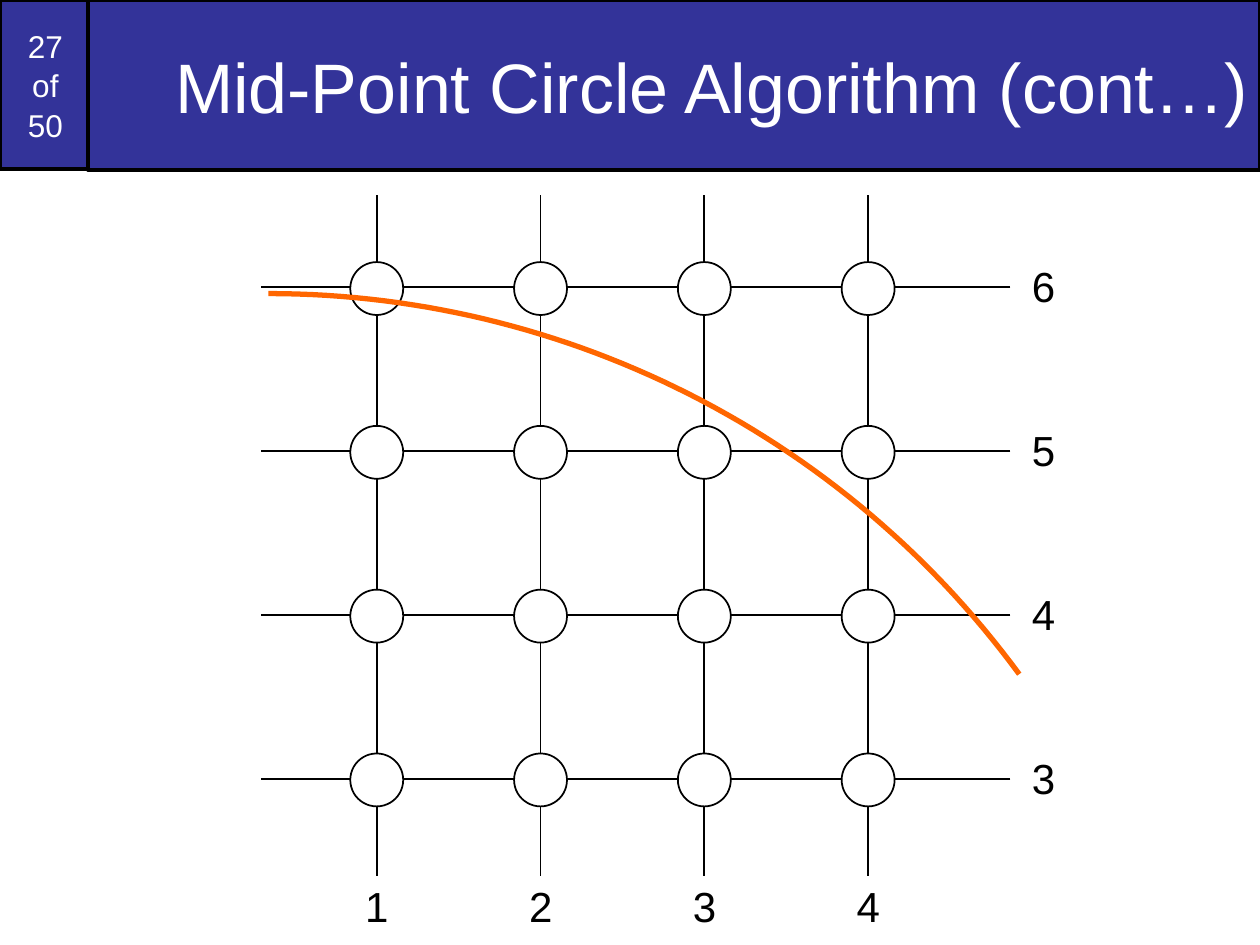
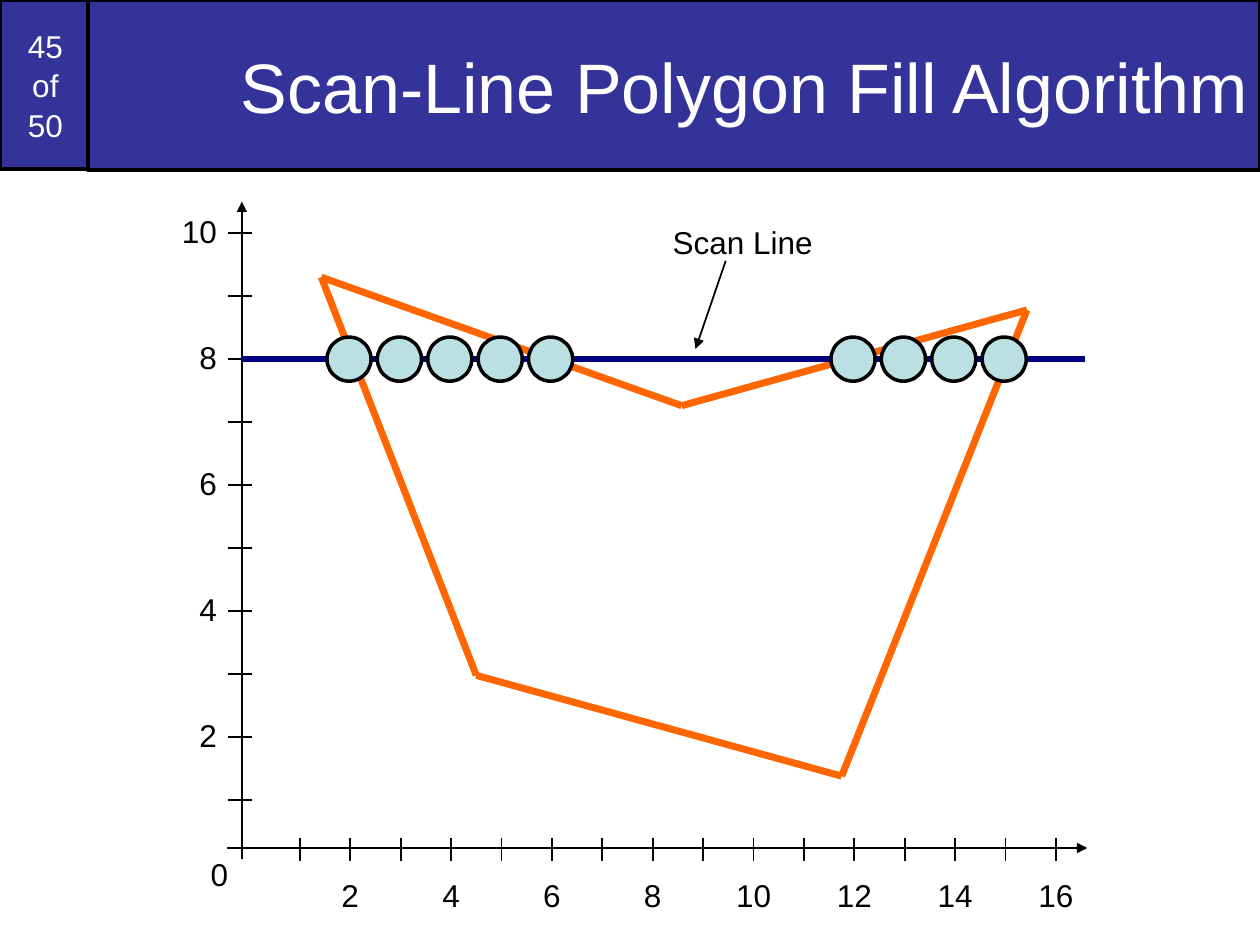
from dataclasses import dataclass
from itertools import pairwise
from math import asin, cos, sin

from lxml.etree import SubElement
from pptx import Presentation
from pptx.dml.color import RGBColor
from pptx.enum.shapes import MSO_CONNECTOR, MSO_SHAPE
from pptx.enum.text import MSO_ANCHOR, PP_ALIGN
from pptx.oxml.ns import qn
from pptx.util import Inches, Pt


@dataclass(frozen=True)
class Theme:
    font: str = "Arial"
    band: RGBColor = RGBColor(0x33, 0x33, 0x99)
    ink: RGBColor = RGBColor(0, 0, 0)
    paper: RGBColor = RGBColor(0xFF, 0xFF, 0xFF)
    curve: RGBColor = RGBColor(0xFF, 0x66, 0x00)
    scan: RGBColor = RGBColor(0x00, 0x00, 0x80)
    dot: RGBColor = RGBColor(0xBB, 0xE0, 0xE3)
    title: int = 40
    mark: int = 24
    small: int = 18


theme = Theme()
LEFT, MID, RIGHT = PP_ALIGN.LEFT, PP_ALIGN.CENTER, PP_ALIGN.RIGHT
WIDE, HIGH = 10, 7.5


def box(page, at, kind=None, fill=None, edge=1, words="", size=18,
        tint=theme.ink, align=MID):
    """Add a preset shape, or a text box when kind is None; at is in inches."""
    spot = [Inches(v) for v in at]
    if kind is None:
        item = page.shapes.add_textbox(*spot)
    else:
        item = page.shapes.add_shape(kind, *spot)
        item.shadow.inherit = False
        item.fill.solid()
        item.fill.fore_color.rgb = fill
        item.line.color.rgb = theme.ink
        item.line.width = Pt(edge)
    if words:
        frame = item.text_frame
        frame.word_wrap = kind is not None
        frame.vertical_anchor = MSO_ANCHOR.TOP if kind is None else MSO_ANCHOR.MIDDLE
        para = frame.paragraphs[0]
        para.alignment = align
        for i, part in enumerate(words.split("\n")):
            if i:
                para.add_line_break()
                para.line_spacing = 1.05
            run = para.add_run()
            run.text = part
            run.font.name = theme.font
            run.font.size = Pt(size)
            run.font.color.rgb = tint


def rule(page, start, end, tint=theme.ink, width=1, arrow=False):
    """Add a straight line between two points in inches."""
    ends = [Inches(v) for v in (*start, *end)]
    item = page.shapes.add_connector(MSO_CONNECTOR.STRAIGHT, *ends)
    item.line.color.rgb = tint
    item.line.width = Pt(width)
    props = item.element.spPr
    if arrow:
        SubElement(props.find(qn("a:ln")), qn("a:tailEnd"), type="triangle")
    SubElement(props, qn("a:effectLst"))


deck = Presentation()
deck.slide_width, deck.slide_height = Inches(WIDE), Inches(HIGH)

# Header shared by both slides
pages = []
for count, title in (
    ("27\nof\n50", "Mid-Point Circle Algorithm (cont…)"),
    ("45\nof\n50", "Scan-Line Polygon Fill Algorithm"),
):
    page = deck.slides.add_slide(deck.slide_layouts[6])
    side, tall = 0.07 * WIDE, 0.18 * HIGH
    box(page, (0, 0, side + 0.02, tall - 0.01), MSO_SHAPE.RECTANGLE, theme.band, 2,
        count, theme.small, theme.paper)
    box(page, (side, 0, WIDE - side, tall), MSO_SHAPE.RECTANGLE, theme.band, 2,
        title, theme.title, theme.paper, RIGHT)
    pages.append(page)
circle, polygon = pages

# Pixel grid
step = 1.3
cols = [2.99 + step * i for i in range(4)]
rows = [2.28 + step * i for i in range(4)]
for x in cols:
    rule(circle, (x, 1.55), (x, 6.95))
for y in rows:
    rule(circle, (8.02, y), (2.07, y))

size = 0.42
for y in rows:
    for x in cols:
        box(circle, (x - size / 2, y + 0.01 - size / 2, size, size),
            MSO_SHAPE.OVAL, theme.paper)

# Arc of the circle, from its top to the right edge of the grid
hub_x, hub_y, radius, edge_x = 2.13, 9.72, 7.39, 8.09
sweep, parts = asin((edge_x - hub_x) / radius), 60
points = []
for i in range(parts + 1):
    turn = sweep * i / parts
    points.append((Inches(hub_x + radius * sin(turn)),
                   Inches(hub_y - radius * cos(turn))))
pen = circle.shapes.build_freeform(*points[0])
pen.add_line_segments(points[1:], close=False)
arc = pen.convert_to_shape()
arc.shadow.inherit = False
arc.fill.background()
arc.line.color.rgb = theme.curve
arc.line.width = Pt(3)

for i, (x, y) in enumerate(zip(cols, rows)):
    box(circle, (x - 0.19, 6.94, 0.38, 0.5), words=str(i + 1), size=theme.mark, align=LEFT)
    box(circle, (8.09, y - 0.26, 0.38, 0.5), words=str(6 - i), size=theme.mark, align=LEFT)

# Polygon outline
peaks = [(2.55, 2.2), (3.78, 5.36), (6.68, 6.16), (8.15, 2.46), (5.41, 3.22)]
for start, end in pairwise(peaks + peaks[:1]):
    rule(polygon, start, end, theme.curve, 4)

# Axes, with ticks at each unit and a number at each second one
zero_x, zero_y = 1.92, 6.73
xs = {n: 1.98 + 0.4 * n for n in range(1, 17)}
ys = {n: 6.85 - 0.5 * n for n in range(1, 11)}
rule(polygon, (zero_x, 6.82), (zero_x, 1.6), arrow=True)
rule(polygon, (1.8, zero_y), (8.63, zero_y), arrow=True)
for n, x in xs.items():
    rule(polygon, (x, 6.65), (x, 6.83))
    if n % 2 == 0:
        wide = 0.2 + 0.14 * len(str(n))
        box(polygon, (x - wide / 2, 6.9, wide, 0.4), words=str(n), size=theme.small)
for n, y in ys.items():
    rule(polygon, (1.81, y), (2, y))
    if n % 2 == 0:
        wide = 0.2 + 0.14 * len(str(n))
        box(polygon, (1.82 - wide, y - 0.22, wide, 0.4), words=str(n),
            size=theme.small, align=RIGHT)
box(polygon, (1.57, 6.74, 0.34, 0.4), words="0", size=theme.small, align=RIGHT)

# Scan line and the pixels it fills
scan_y, size = ys[8], 0.35
rule(polygon, (1.91, scan_y), (8.61, scan_y), theme.scan, 3)
for n in (*range(2, 7), *range(12, 16)):
    box(polygon, (xs[n] - 0.01 - size / 2, scan_y - size / 2, size, size),
        MSO_SHAPE.OVAL, theme.dot, 2)
box(polygon, (5.24, 1.72, 1.31, 0.4), words="Scan Line", size=theme.small, align=LEFT)
rule(polygon, (5.76, 2.07), (5.52, 2.77), arrow=True)

deck.save("out.pptx")
